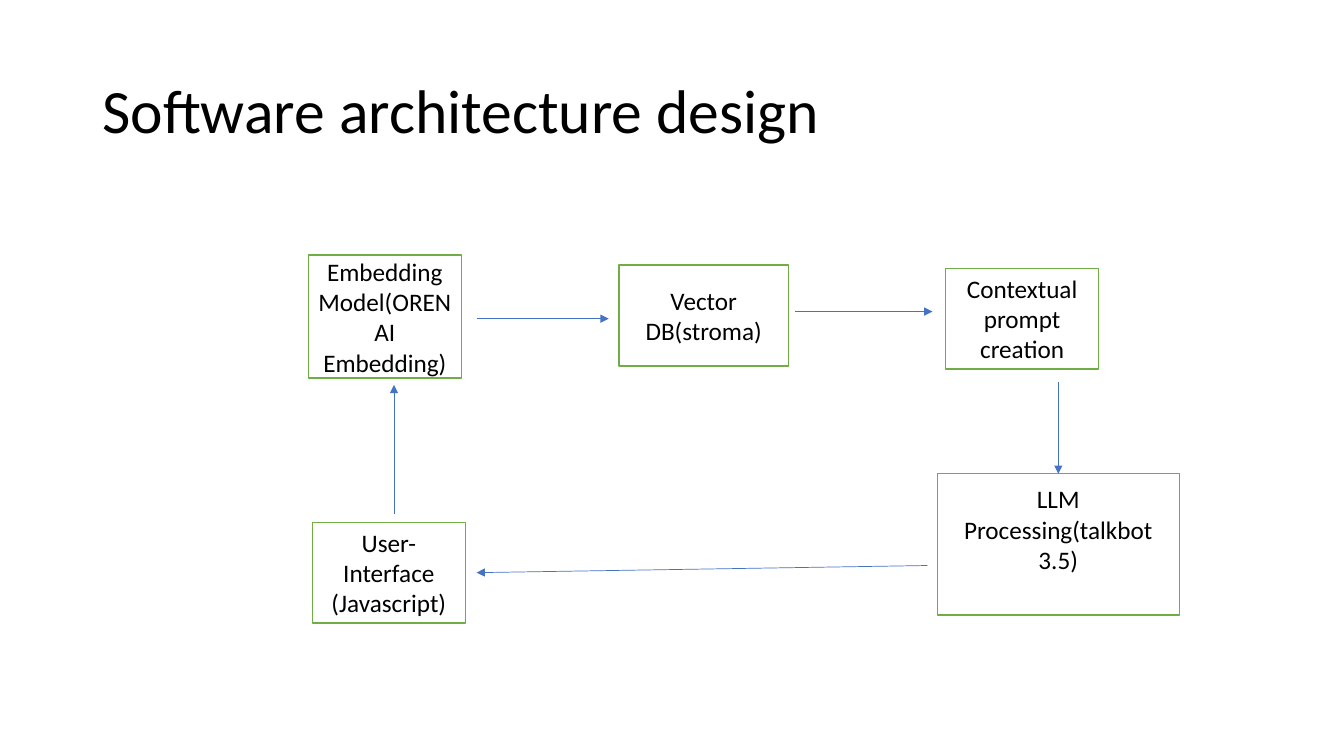
from pptx import Presentation
from pptx.dml.color import RGBColor
from pptx.enum.shapes import MSO_CONNECTOR, MSO_SHAPE
from pptx.enum.text import MSO_ANCHOR, PP_ALIGN
from pptx.oxml.ns import qn
from pptx.util import Cm, Pt
from lxml import etree

RECT = MSO_SHAPE.RECTANGLE
LINE = MSO_CONNECTOR.STRAIGHT
MIDDLE = MSO_ANCHOR.MIDDLE
LEFT, CENTER = PP_ALIGN.LEFT, PP_ALIGN.CENTER

COLORS = {"text": "000000", "fill": "FFFFFF", "edge": "70AD47", "arrow": "4472C4"}
FONT = "Calibri"
TITLE = {"size": Pt(44), "name": FONT}
LABEL = {"size": Pt(18), "name": FONT}
FRAME = {"word_wrap": True, "vertical_anchor": MIDDLE}


def apply(target, values):
    for key, value in values.items():
        setattr(target, key, value)


class Canvas:
    def __init__(self, slide, colors):
        self.slide = slide
        self.colors = colors

    def color(self, name):
        return RGBColor.from_string(self.colors[name])

    def label(self, shape, text, font, para, frame):
        apply(shape.text_frame, {**FRAME, **frame})
        line = shape.text_frame.paragraphs[0]
        apply(line, para)
        run = line.add_run()
        run.text = text
        apply(run.font, font)
        run.font.color.rgb = self.color("text")

    def stroke(self, line, name, width):
        line.color.rgb = self.color(name)
        line.width = Pt(width)

    def title(self, text, *area):
        shape = self.slide.shapes.add_textbox(*map(Cm, area))
        self.label(shape, text, TITLE, {"alignment": LEFT, "line_spacing": 0.9}, {})

    def box(self, text, area, frame):
        shape = self.slide.shapes.add_shape(RECT, *map(Cm, area))
        shape.shadow.inherit = False
        shape.fill.solid()
        shape.fill.fore_color.rgb = self.color("fill")
        self.stroke(shape.line, "edge", 1)
        self.label(shape, text, LABEL, {"alignment": CENTER}, frame)

    def arrow(self, *ends):
        link = self.slide.shapes.add_connector(LINE, *map(Cm, ends))
        self.stroke(link.line, "arrow", 0.5)
        props = link.element.spPr
        etree.SubElement(props.find(qn("a:ln")), qn("a:tailEnd"), type="triangle")
        etree.SubElement(props, qn("a:effectLst"))


deck = Presentation()
apply(deck, {"slide_width": Cm(33.87), "slide_height": Cm(19.05)})
canvas = Canvas(deck.slides.add_slide(deck.slide_layouts[6]), COLORS)

canvas.title("Software architecture design", 2.33, 1.01, 29.21, 3.68)

WIDE, HIGH = 3.86, 2.54
BOXES = [
    ("User-Interface (Javascript)", (7.87, 13.16, WIDE, HIGH), {}),
    ("Embedding Model(ORENAI Embedding)", (7.77, 6.43, WIDE, 3.1), {}),
    ("Vector DB(stroma)", (15.6, 6.68, 4.27, HIGH), {}),
    ("Contextual prompt creation", (23.83, 6.76, WIDE, HIGH), {}),
    ("LLM Processing(talkbot 3.5)", (23.62, 11.94, 6.1, 3.56), {"margin_bottom": Cm(0.9)}),
]
for text, area, frame in BOXES:
    canvas.box(text, area, frame)

ARROWS = [
    (9.93, 12.95, 9.93, 9.7),
    (12.01, 8.03, 15.34, 8.03),
    (20.04, 7.85, 23.5, 7.85),
    (26.67, 9.63, 26.67, 11.94),
    (23.37, 14.25, 12.01, 14.43),
]
for ends in ARROWS:
    canvas.arrow(*ends)

deck.save("out.pptx")
